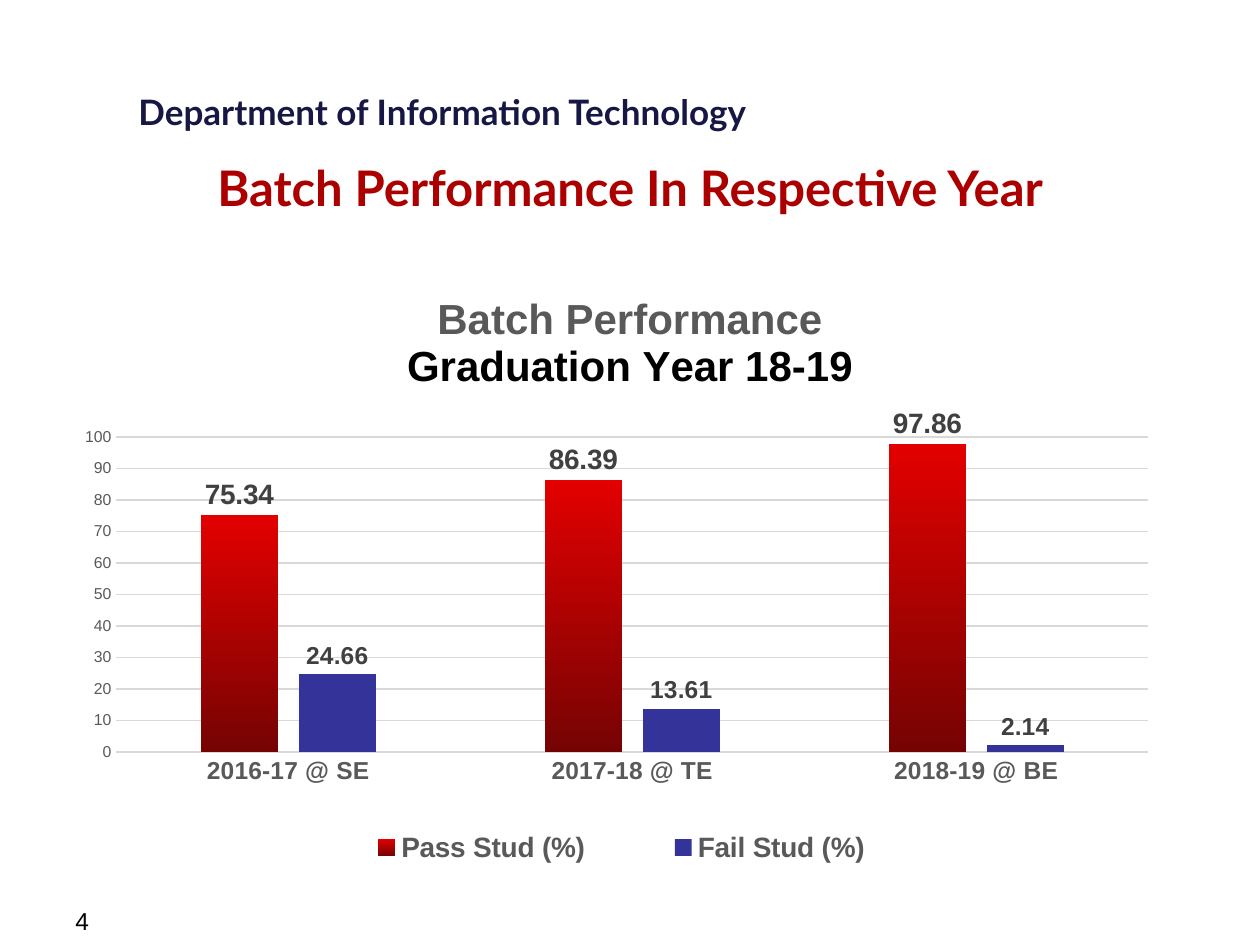
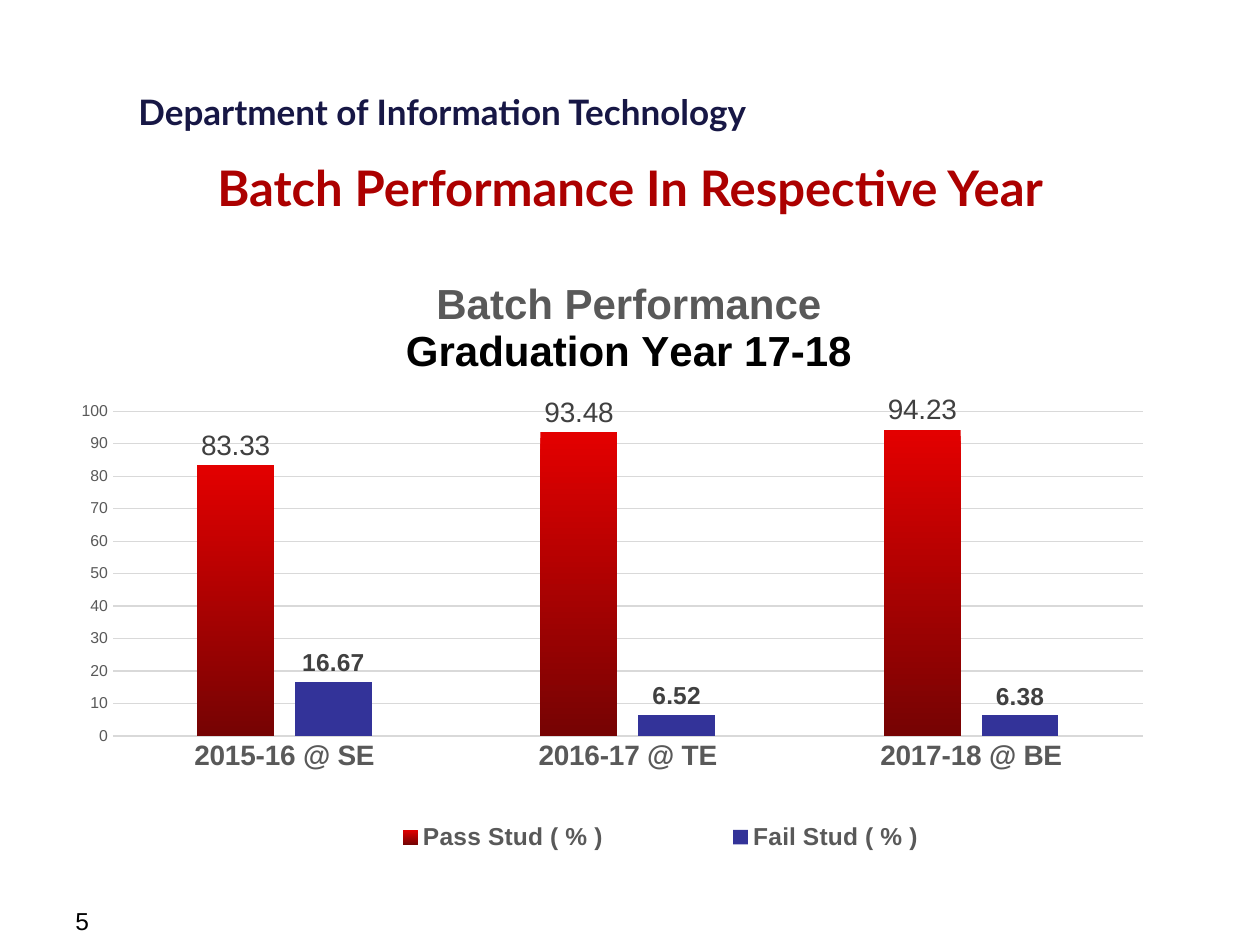
from lxml import etree
from pptx import Presentation
from pptx.chart.data import CategoryChartData
from pptx.dml.color import RGBColor
from pptx.enum.chart import XL_CHART_TYPE, XL_LABEL_POSITION, XL_LEGEND_POSITION, XL_TICK_MARK
from pptx.enum.text import MSO_ANCHOR, MSO_AUTO_SIZE, PP_ALIGN
from pptx.oxml.ns import qn
from pptx.util import Pt

COLUMNS = XL_CHART_TYPE.COLUMN_CLUSTERED
OUTSIDE_END = XL_LABEL_POSITION.OUTSIDE_END
LEGEND_BOTTOM = XL_LEGEND_POSITION.BOTTOM
NO_TICK = XL_TICK_MARK.NONE
TOP = MSO_ANCHOR.TOP
NO_AUTOFIT = MSO_AUTO_SIZE.NONE
CENTER = PP_ALIGN.CENTER

TITLE_ONLY = 5
MARGIN = 36
CONTENT_WIDTH = 648
HEADING_FONT = "Lato"
BODY_FONT = "Arial"
NAVY = "171745"
CRIMSON = "AC0000"
BLACK = "000000"
GRAY = "595959"
DARK_GRAY = "404040"
GRID_GRAY = "D9D9D9"
PASS_GRADIENT = ("E30000", "760303")
FAIL_BLUE = "333399"

BATCHES = [
    {
        "number": 4,
        "year": "Graduation Year 18-19",
        "categories": ["2016-17 @ SE", "2017-18 @ TE", "2018-19 @ BE"],
        "series": [("Pass Stud (%)", (75.34, 86.39, 97.86)), ("Fail Stud (%)", (24.66, 13.61, 2.14))],
        "top": 154.8,
        "height": 345.6,
        "category_size": 14,
        "legend_size": 16,
        "pass_bold": True,
        "title_place": (194.4, 10.9),
        "plot_place": (30.5, 95, 589.7, 180),
        "legend_place": (134.2, 317.4, 370, 24.2),
    },
    {
        "number": 5,
        "year": "Graduation Year 17-18",
        "categories": ["2015-16 @ SE", "2016-17 @ TE", "2017-18 @ BE"],
        "series": [("Pass Stud ( % )", (83.33, 93.48, 94.23)), ("Fail Stud ( % )", (16.67, 6.52, 6.38))],
        "top": 156.2,
        "height": 347.8,
        "category_size": 16,
        "legend_size": 14,
        "pass_bold": False,
        "title_place": (193.8, 1.1),
        "plot_place": (28.5, 78.8, 588.6, 185.7),
        "legend_place": (124.6, 310.1, 433.8, 24.3),
    },
]


def color(hex_string):
    """Return the colour for a hex string."""
    return RGBColor.from_string(hex_string)


def style_font(font, size, hex_string, bold=False, name=BODY_FONT):
    """Set the face, size, colour and weight of a font."""
    font.name = name
    font.size = Pt(size)
    font.bold = bold
    font.color.rgb = color(hex_string)


def add_text(slide, text, left, top, width, height, **font_style):
    """Add a one-line text box."""
    shape = slide.shapes.add_textbox(Pt(left), Pt(top), Pt(width), Pt(height))
    shape.text_frame.text = text
    style_font(shape.text_frame.paragraphs[0].runs[0].font, **font_style)


def set_title(slide, text):
    """Fill, place and format the title placeholder."""
    title = slide.shapes.title
    title.left, title.top = Pt(MARGIN), Pt(86.4)
    title.width, title.height = Pt(CONTENT_WIDTH), Pt(34.6)
    frame = title.text_frame
    frame.text = text
    frame.auto_size = NO_AUTOFIT
    frame.vertical_anchor = TOP
    paragraph = frame.paragraphs[0]
    paragraph.alignment = CENTER
    style_font(paragraph.runs[0].font, 28, CRIMSON, True, HEADING_FONT)


def set_layout(element, place, chart_height, inner=False):
    """Place a chart part by its points from the chart's corner: x, y and optionally width, height."""
    for old in element.findall(qn("c:layout")):
        element.remove(old)
    layout = etree.Element(qn("c:layout"))
    manual = etree.SubElement(layout, qn("c:manualLayout"))
    settings = [("layoutTarget", "inner")] if inner else []
    settings += [("xMode", "edge"), ("yMode", "edge")]
    extents = (CONTENT_WIDTH, chart_height) * 2
    settings += [(tag, str(length / extent)) for tag, length, extent in zip("xywh", place, extents)]
    for tag, value in settings:
        etree.SubElement(manual, qn("c:" + tag)).set("val", value)
    overlay = element.find(qn("c:overlay"))
    if overlay is None:
        element.insert(0, layout)
    else:
        overlay.addprevious(layout)


def set_chart_title(chart, batch):
    """Give the chart its two-line title."""
    title = chart.chart_title
    frame = title.text_frame
    frame.text = "Batch Performance"
    frame.add_paragraph().text = batch["year"]
    for paragraph, hex_string in zip(frame.paragraphs, (GRAY, BLACK)):
        style_font(paragraph.runs[0].font, 24, hex_string, True)
    set_layout(title._element, batch["title_place"], batch["height"])


def style_axes(chart, category_size):
    """Format both axes and the gridlines."""
    category_axis, value_axis = chart.category_axis, chart.value_axis
    for axis, size, bold in ((category_axis, category_size, True), (value_axis, 9, False)):
        axis.major_tick_mark = NO_TICK
        axis.minor_tick_mark = NO_TICK
        style_font(axis.tick_labels.font, size, GRAY, bold)
    value_axis.minimum_scale = 0
    value_axis.maximum_scale = 100
    value_axis.major_unit = 10
    value_axis.has_major_gridlines = True
    value_axis.format.line.fill.background()
    for line in (category_axis.format.line, value_axis.major_gridlines.format.line):
        line.color.rgb = color(GRID_GRAY)
        line.width = Pt(0.75)


def add_labels(series, size, bold):
    """Show the values above the columns of a series."""
    labels = series.data_labels
    labels.show_value = True
    labels.position = OUTSIDE_END
    style_font(labels.font, size, DARK_GRAY, bold)


def style_columns(plot, pass_bold):
    """Colour and label the pass and fail columns."""
    plot.gap_width = 219
    plot.overlap = -27
    plot.vary_by_categories = False
    pass_series, fail_series = plot.series
    fill = pass_series.format.fill
    fill.gradient()
    fill.gradient_angle = 270
    for stop, hex_string in zip(fill.gradient_stops, PASS_GRADIENT):
        stop.color.rgb = color(hex_string)
    fail_series.format.fill.solid()
    fail_series.format.fill.fore_color.rgb = color(FAIL_BLUE)
    add_labels(pass_series, 16, pass_bold)
    add_labels(fail_series, 14, True)


def set_legend(chart, batch):
    """Put the legend in one row under the columns."""
    chart.has_legend = True
    legend = chart.legend
    legend.position = LEGEND_BOTTOM
    legend.include_in_layout = False
    style_font(legend.font, batch["legend_size"], GRAY, True)
    set_layout(legend._element, batch["legend_place"], batch["height"])


def add_batch_chart(slide, batch):
    """Add the column chart of pass and fail rates for one batch."""
    data = CategoryChartData()
    data.categories = batch["categories"]
    for name, values in batch["series"]:
        data.add_series(name, values)
    chart = slide.shapes.add_chart(COLUMNS, Pt(MARGIN), Pt(batch["top"]), Pt(CONTENT_WIDTH),
                                   Pt(batch["height"]), data).chart
    style_font(chart.font, 10, BLACK)
    set_chart_title(chart, batch)
    style_axes(chart, batch["category_size"])
    plot = chart.plots[0]
    style_columns(plot, batch["pass_bold"])
    set_layout(plot._element.getparent(), batch["plot_place"], batch["height"], inner=True)
    set_legend(chart, batch)


def add_batch_slide(presentation, batch):
    """Add one slide with department, title, page number and chart."""
    slide = presentation.slides.add_slide(presentation.slide_layouts[TITLE_ONLY])
    add_text(slide, "Department of Information Technology", 72, 48.2, 385.2, 31.7,
             size=20, hex_string=NAVY, bold=True, name=HEADING_FONT)
    set_title(slide, "Batch Performance In Respective Year")
    add_text(slide, str(batch["number"]), MARGIN, 514.1, 167.8, 19.4, size=14, hex_string=BLACK)
    add_batch_chart(slide, batch)


def main():
    """Build and save the presentation."""
    presentation = Presentation()
    presentation.slide_width, presentation.slide_height = Pt(720), Pt(540)
    for batch in BATCHES:
        add_batch_slide(presentation, batch)
    presentation.save("out.pptx")


main()
